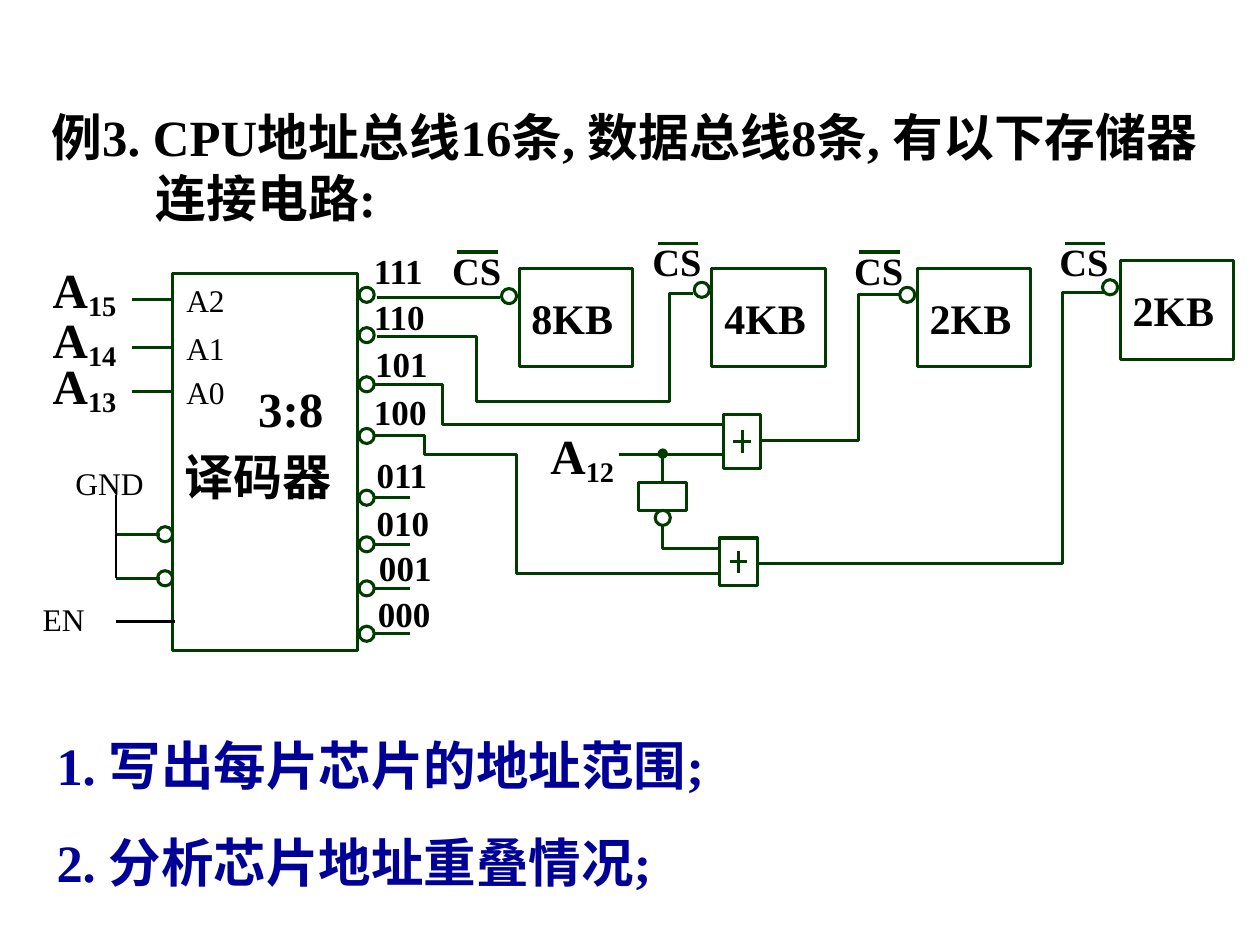
from lxml import etree
from pptx import Presentation
from pptx.dml.color import RGBColor
from pptx.enum.shapes import MSO_CONNECTOR, MSO_SHAPE
from pptx.enum.text import MSO_ANCHOR, PP_ALIGN
from pptx.oxml.ns import qn
from pptx.util import Inches, Pt

RECTANGLE, OVAL = MSO_SHAPE.RECTANGLE, MSO_SHAPE.OVAL
STRAIGHT = MSO_CONNECTOR.STRAIGHT
TOP, MIDDLE = MSO_ANCHOR.TOP, MSO_ANCHOR.MIDDLE
LEFT = PP_ALIGN.LEFT
GREEN, BLACK, BLUE = "003C00", "000000", "000099"
FONT = "Times New Roman"
LINE_WIDTH = 1.75
BUBBLE = 0.12


def rgb(color):
    return RGBColor.from_string(color)


def style_paragraph(paragraph, size, color=BLACK, bold=True):
    paragraph.alignment = LEFT
    font = paragraph.font
    font.name, font.size, font.bold = FONT, Pt(size), bold
    font.color.rgb = rgb(color)


def indent(paragraph, margin, first_line):
    properties = paragraph._p.get_or_add_pPr()
    properties.set("marL", str(Inches(margin)))
    properties.set("indent", str(Inches(first_line)))


def add_text(slide, left, top, width, height, lines, size, color=BLACK, bold=True):
    box = slide.shapes.add_textbox(*map(Inches, (left, top, width, height)))
    frame = box.text_frame
    frame.word_wrap = True
    frame.text = "\n".join(lines)
    for paragraph in frame.paragraphs:
        style_paragraph(paragraph, size, color, bold)
    return frame


def add_address(slide, left, top, number):
    """Address line name such as A with a lowered number."""
    paragraph = add_text(slide, left, top, 0.78, 0.57, ["A"], 28).paragraphs[0]
    subscript = paragraph.add_run()
    subscript.text = number
    subscript.font._element.set("baseline", "-16000")


def outline(shape):
    shape.shadow.inherit = False
    shape.fill.background()
    shape.line.color.rgb = rgb(GREEN)
    shape.line.width = Pt(LINE_WIDTH)
    return shape


def add_outline(slide, kind, left, top, width, height):
    return outline(slide.shapes.add_shape(kind, *map(Inches, (left, top, width, height))))


def add_bubble(slide, left, top):
    add_outline(slide, OVAL, left, top, BUBBLE, BUBBLE)


def add_line(slide, x1, y1, x2, y2, color=GREEN, width=LINE_WIDTH):
    line = slide.shapes.add_connector(STRAIGHT, *map(Inches, (x1, y1, x2, y2)))
    line.line.color.rgb = rgb(color)
    line.line.width = Pt(width)
    etree.SubElement(line._element.spPr, qn("a:effectLst"))
    return line


def add_wire(slide, points):
    corners = [(Inches(x), Inches(y)) for x, y in points]
    builder = slide.shapes.build_freeform(*corners[0])
    builder.add_line_segments(corners[1:], close=False)
    outline(builder.convert_to_shape())


def add_title(slide, left, top, width, height):
    text = "例3. CPU地址总线16条, 数据总线8条, 有以下存储器连接电路:"
    frame = add_text(slide, left, top, width, height, [text], 29)
    indent(frame.paragraphs[0], 0.83, -0.83)


def add_questions(slide, left, top, width, height):
    lines = ["1. 写出每片芯片的地址范围;", "2. 分析芯片地址重叠情况;"]
    for paragraph in add_text(slide, left, top, width, height, lines, 30, BLUE).paragraphs:
        indent(paragraph, 0.41, -0.41)
        paragraph.line_spacing = 1.5
        paragraph.space_before = Pt(1.5)


def add_decoder(slide, left, top, width, height):
    body = add_outline(slide, RECTANGLE, left, top, width, height)
    frame = body.text_frame
    frame.vertical_anchor = TOP
    frame.margin_top = Inches(0.67)
    frame.text = "3:8\n译码器"
    for paragraph, spacing in zip(frame.paragraphs, (1.35, 1.15)):
        style_paragraph(paragraph, 28)
        paragraph.line_spacing = spacing
    indent(frame.paragraphs[0], 0.58, 0)

    # Address inputs: number, pin, label offset, line offset
    inputs = [("15", "A2", -0.16, 0.21), ("14", "A1", 0.24, 0.59), ("13", "A0", 0.6, 0.94)]
    for number, pin, label_y, line_y in inputs:
        add_line(slide, left - 0.32, top + line_y, left, top + line_y)
        add_address(slide, left - 1.05, top + label_y, number)
        add_text(slide, left + 0.01, top + line_y - 0.2, 0.59, 0.4, [pin], 18, bold=False)

    # Outputs: code, label offsets, bubble offset; the last four end in stubs
    outputs = [("111", 1.5, -0.24, 0.11), ("110", 1.5, 0.13, 0.43),
               ("101", 1.51, 0.5, 0.82), ("100", 1.5, 0.88, 1.23),
               ("011", 1.52, 1.38, 1.72), ("010", 1.52, 1.76, 2.09),
               ("001", 1.54, 2.12, 2.44), ("000", 1.53, 2.48, 2.8)]
    for index, (code, label_x, label_y, bubble_y) in enumerate(outputs):
        add_bubble(slide, left + width + 0.01, top + bubble_y)
        add_text(slide, left + label_x, top + label_y, 0.63, 0.43, [code], 20)
        if index >= 4:
            stub_y = top + bubble_y + BUBBLE / 2
            add_line(slide, left + 1.61, stub_y, left + 1.88, stub_y)

    # Enable inputs
    rail = left - 0.45
    for offset in (2.07, 2.42):
        add_line(slide, rail, top + offset, left - 0.1, top + offset)
        add_bubble(slide, left - BUBBLE, top + offset - BUBBLE / 2)
    add_line(slide, rail, top + 2.42, rail, top + 1.76, BLACK, 1)
    add_line(slide, rail, top + 2.76, left + 0.02, top + 2.76, BLACK)
    add_text(slide, left - 0.87, top + 1.46, 0.81, 0.4, ["GND"], 18, bold=False)
    add_text(slide, left - 1.13, top + 2.54, 0.81, 0.4, ["EN"], 18, bold=False)


def add_memory(slide, left, top, capacity, label_x, label_y, bubble_y):
    """Memory chip with its inverted chip select."""
    chip = add_outline(slide, RECTANGLE, left, top, 0.9, 0.78)
    chip.text_frame.vertical_anchor = MIDDLE
    chip.text_frame.text = capacity
    style_paragraph(chip.text_frame.paragraphs[0], 24)
    add_bubble(slide, left - 0.14, top + bubble_y)
    label_left, label_top = left + label_x, top + label_y
    add_text(slide, label_left, label_top, 0.75, 0.47, ["CS"], 22)
    bar_left, bar_top = label_left + 0.14, label_top + 0.09
    add_line(slide, bar_left, bar_top, bar_left + 0.32, bar_top)


def add_or_gate(slide, left, top, width, height):
    add_outline(slide, RECTANGLE, left, top, width, height)
    x, y = left + width / 2, top + height / 2
    add_line(slide, x - 0.07, y, x + 0.07, y)
    add_line(slide, x, y - 0.09, x, y + 0.09)


def add_selection_logic(slide, left, top):
    """OR gates and the inverter fed by A12."""
    add_or_gate(slide, left + 1.47, top, 0.3, 0.43)
    add_or_gate(slide, left + 1.44, top + 0.98, 0.3, 0.38)
    add_address(slide, left, top + 0.04, "12")
    add_line(slide, left + 0.64, top + 0.32, left + 1.47, top + 0.32)
    add_outline(slide, RECTANGLE, left + 0.8, top + 0.54, 0.38, 0.22)
    add_bubble(slide, left + 0.93, top + 0.76)
    branch = add_line(slide, left + 0.99, top + 0.31, left + 0.99, top + 0.55)
    etree.SubElement(branch.line._get_or_add_ln(), qn("a:headEnd"), type="oval")


def add_wires(slide):
    add_line(slide, 2.99, 2.36, 3.97, 2.36)
    wires = [
        [(2.99, 2.67), (3.78, 2.67), (3.78, 3.19), (5.31, 3.19), (5.31, 2.33), (5.5, 2.33)],
        [(2.97, 3.05), (3.51, 3.05), (3.51, 3.37), (5.74, 3.37)],
        [(2.98, 3.46), (3.37, 3.46), (3.37, 3.61), (4.1, 3.61), (4.1, 4.55), (5.7, 4.55)],
        [(5.26, 4.16), (5.26, 4.35), (5.7, 4.35)],
        [(6.03, 3.5), (6.81, 3.5), (6.81, 2.34), (7.15, 2.34)],
        [(6, 4.47), (8.43, 4.47), (8.43, 2.32), (8.76, 2.32)],
    ]
    for points in wires:
        add_wire(slide, points)


def main():
    presentation = Presentation()
    presentation.slide_width, presentation.slide_height = Inches(10), Inches(7.5)
    slide = presentation.slides.add_slide(presentation.slide_layouts[6])
    add_title(slide, 0.31, 0.79, 9.66, 1.08)
    add_questions(slide, 0.35, 5.52, 6.78, 1.55)
    add_decoder(slide, 1.37, 2.17, 1.47, 2.99)
    # Chips: position, capacity, CS label offsets, bubble offset
    for chip in [(4.12, 2.13, "8KB", -0.63, -0.22, 0.16),
                 (5.65, 2.13, "4KB", -0.57, -0.29, 0.11),
                 (7.28, 2.13, "2KB", -0.6, -0.22, 0.15),
                 (8.89, 2.07, "2KB", -0.58, -0.23, 0.15)]:
        add_memory(slide, *chip)
    add_selection_logic(slide, 4.27, 3.29)
    add_wires(slide)
    presentation.save("out.pptx")


if __name__ == "__main__":
    main()
